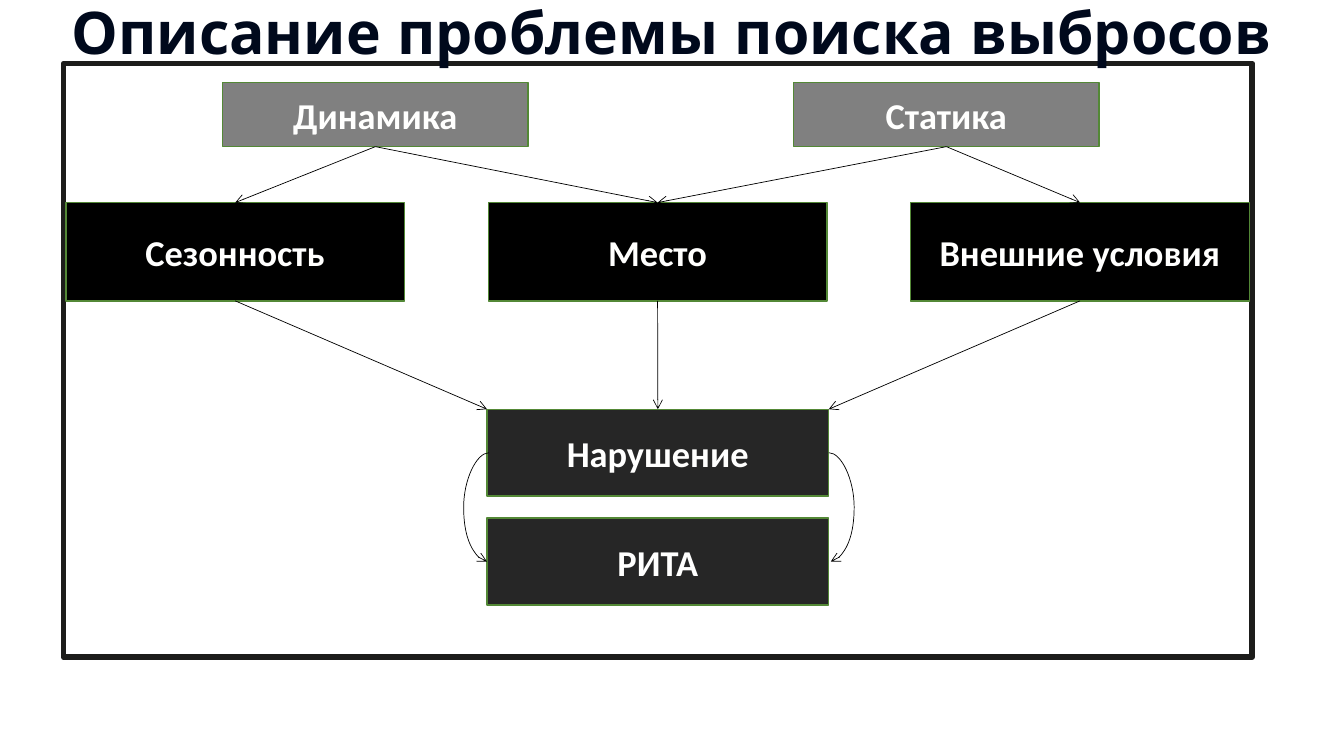
from dataclasses import dataclass

from lxml.etree import SubElement as Sub
from pptx import Presentation
from pptx.dml.color import RGBColor
from pptx.enum.shapes import MSO_CONNECTOR as Conn, MSO_SHAPE as Form
from pptx.enum.text import MSO_ANCHOR as Anchor, MSO_AUTO_SIZE as Fit, PP_ALIGN as Align
from pptx.oxml.ns import qn
from pptx.util import Inches, Pt

WIDE, HIGH = Inches(13.33), Inches(7.5)
EDGE, INK = "538836", "000000"
BULGE = 1.88  # reach of the curved arrows


# Lengths are percent shares of the slide's width and height
def across(share: float) -> int:
    return round(WIDE * share / 100)


def down(share: float) -> int:
    return round(HIGH * share / 100)


def paint(code: str) -> RGBColor:
    return RGBColor.from_string(code)


@dataclass
class Box:
    text: str
    mid: float
    top: float
    width: float
    height: float
    fill: str

    @property
    def left(self) -> float:
        return self.mid - self.width / 2

    @property
    def right(self) -> float:
        return self.mid + self.width / 2

    @property
    def base(self) -> float:
        return self.top + self.height


def write(shape, text: str, *, size: float, font: str, color: str) -> None:
    frame = shape.text_frame
    frame.word_wrap = True
    frame.auto_size = Fit.NONE
    frame.vertical_anchor = Anchor.MIDDLE
    para = frame.paragraphs[0]
    para.alignment = Align.CENTER
    run = para.add_run()
    run.text = text
    run.font.size, run.font.name, run.font.bold = Pt(size), font, True
    run.font.color.rgb = paint(color)


def block(slide, box: Box, edge: str = EDGE, thick: float = 1):
    shape = slide.shapes.add_shape(Form.RECTANGLE, across(box.left), down(box.top),
                                   across(box.width), down(box.height))
    shape.shadow.inherit = False
    shape.fill.solid()
    shape.fill.fore_color.rgb = paint(box.fill)
    shape.line.color.rgb = paint(edge)
    shape.line.width = Pt(thick)
    if box.text:
        write(shape, box.text, size=26, font="Calibri", color="FFFFFE")
    return shape


def arrow(slide, x1: float, y1: float, x2: float, y2: float, kind=Conn.STRAIGHT):
    link = slide.shapes.add_connector(kind, across(x1), down(y1), across(x2), down(y2))
    link.line.color.rgb = paint(INK)
    link.line.width = Pt(0.5)
    Sub(link.line._get_or_add_ln(), qn("a:tailEnd"), type="arrow")
    Sub(link._element.spPr, qn("a:effectLst"))
    return link


def curve(slide, x1: float, y1: float, x2: float, y2: float) -> None:
    link = arrow(slide, x1, y1, x2, y2, Conn.CURVE)
    props = link._element.spPr
    # The bend lies outside the narrow span between both ends
    bend = round(BULGE / abs(x2 - x1) * 100000)
    guides = props.find(qn("a:prstGeom")).get_or_add_avLst()
    Sub(guides, qn("a:gd"), name="adj1", fmla=f"val {bend}")
    if x2 < x1:  # a half turn plus a vertical flip mirrors the bend
        form = props.find(qn("a:xfrm"))
        form.attrib.pop("flipH")
        form.set("rot", "10800000")
        form.set("flipV", "1")


def main() -> None:
    deck = Presentation()
    deck.slide_width, deck.slide_height = WIDE, HIGH
    slide = deck.slides.add_slide(deck.slide_layouts[5])

    # Frame, behind the title
    panel = block(slide, Box("", 48.95, 8.4, 88.45, 78.53, "FFFFFF"), "1D1D1B", 4)
    slide.shapes._spTree.insert(2, panel._element)

    # Title
    title = slide.shapes.title
    title.left, title.top = across(-2.18), down(-1.33)
    title.width, title.height = across(104.35), down(10.8)
    write(title, "Описание проблемы поиска выбросов", size=42, font="Quicksand", color="00091C")

    # Three tiers of boxes
    kinds = [Box(name, mid, 10.93, 22.73, 8.47, "808080")
             for name, mid in (("Динамика", 27.93), ("Статика", 70.42))]
    causes = [Box(name, 17.5 + 31.43 * col, 26.8, 25.2, 13, INK)
              for col, name in enumerate(("Сезонность", "Место", "Внешние условия"))]
    ends = [Box(name, 48.95, 54.13 + 14.4 * row, 25.43, 11.5, "262626")
            for row, name in enumerate(("Нарушение", "РИТА"))]
    for box in kinds + causes + ends:
        block(slide, box)

    # Each kind leads to two neighbouring causes
    for num, kind in enumerate(kinds):
        for cause in causes[num:num + 2]:
            arrow(slide, kind.mid, kind.base, cause.mid, cause.top)

    # All causes lead to the fault
    fault, rita = ends
    for cause, goal in zip(causes, (fault.left, fault.mid, fault.right)):
        arrow(slide, cause.mid, cause.base, goal, fault.top)

    # Curved arrows on both sides
    start, stop = fault.top + fault.height / 2, rita.top + rita.height / 2
    curve(slide, fault.left + 0.15, start, rita.left, stop)
    curve(slide, fault.right, start, rita.right + 0.15, stop)

    deck.save("out.pptx")


if __name__ == "__main__":
    main()
